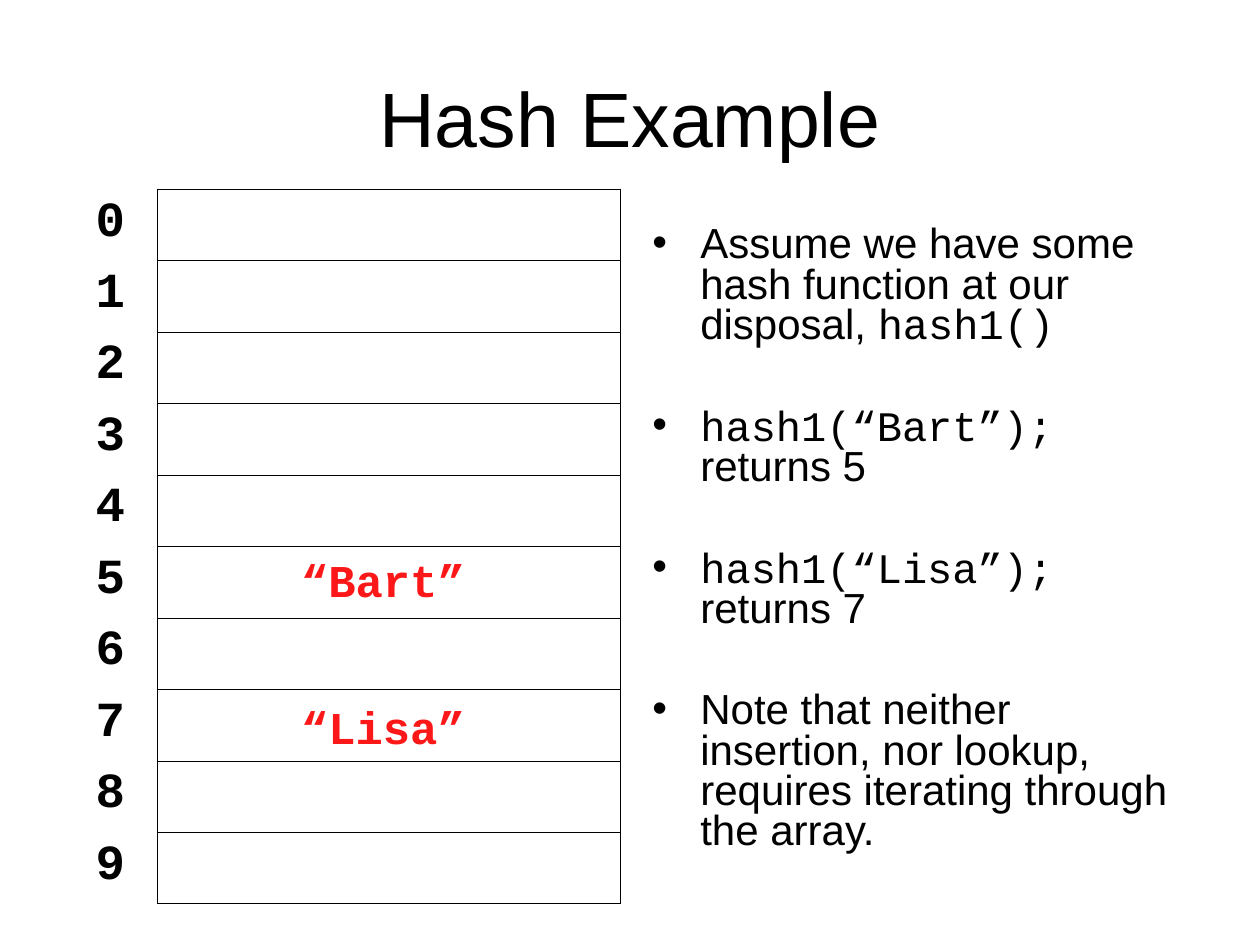
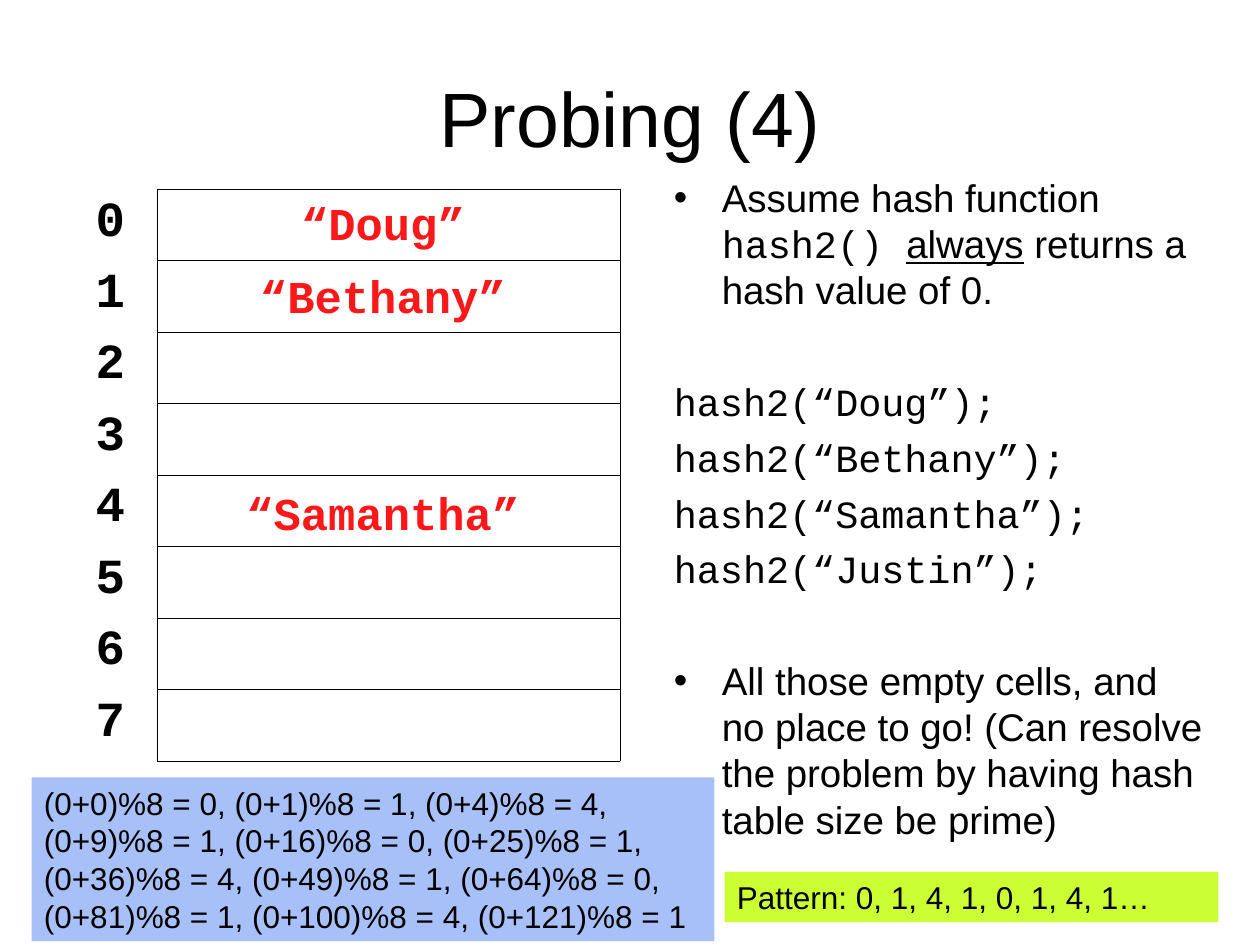
from lxml.etree import SubElement
from pptx import Presentation
from pptx.dml.color import RGBColor
from pptx.enum.shapes import MSO_SHAPE
from pptx.enum.text import MSO_ANCHOR as Anchor, PP_ALIGN as Align
from pptx.oxml.ns import qn
from pptx.util import Inches, Pt

BLACK = RGBColor(0x00, 0x00, 0x00)
RED = RGBColor(0xFC, 0x18, 0x18)
BLUE = RGBColor(0xA7, 0xC0, 0xF7)
LIME = RGBColor(0xCC, 0xFF, 0x33)
SANS, MONO = "Arial", "Courier New"

ROW_HEIGHT = 0.567
TABLE_LEFT, TABLE_TOP = 0.5, 1.5
INDEX_WIDTH, VALUE_WIDTH = 0.75, 3.67


def write(paragraph, text, size=18, font=SANS, color=BLACK, bold=False,
          underline=False, align=Align.LEFT):
    """Append a formatted run of text to a paragraph."""
    paragraph.alignment = align
    run = paragraph.add_run()
    run.text = text
    run.font.size = Pt(size)
    run.font.name = font
    run.font.color.rgb = color
    run.font.bold = bold
    run.font.underline = underline


def add_frame(slide, left, top, width, height, fill=None):
    """Add a wrapping text area, on a filled rectangle if a fill is given."""
    box = [Inches(length) for length in (left, top, width, height)]
    if fill is None:
        area = slide.shapes.add_textbox(*box)
    else:
        area = slide.shapes.add_shape(MSO_SHAPE.RECTANGLE, *box)
        area.shadow.inherit = False
        area.fill.solid()
        area.fill.fore_color.rgb = fill
        area.line.fill.background()
    area.text_frame.word_wrap = True
    area.text_frame.vertical_anchor = Anchor.TOP
    return area.text_frame


# A point is: (bulleted, space before in points, [(text, font, underline), ...])
hash_points = [
    (True, 0, [("Assume we have some hash function at our disposal, ", SANS, False),
               ("hash1()", MONO, False)]),
    (True, 35, [("hash1(“Bart”); ", MONO, False), ("returns 5", SANS, False)]),
    (True, 35, [("hash1(“Lisa”); ", MONO, False), ("returns 7", SANS, False)]),
    (True, 35, [("Note that neither insertion, nor lookup, requires iterating "
                 "through the array.", SANS, False)]),
]
probing_points = [
    (True, 0, [("Assume hash function ", SANS, False), ("hash2() ", MONO, False),
               ("always", SANS, True), (" returns a hash value of 0.", SANS, False)]),
    (False, 37.5, [("hash2(“Doug”);", MONO, False)]),
    (False, 5.5, [("hash2(“Bethany”);", MONO, False)]),
    (False, 5.5, [("hash2(“Samantha”);", MONO, False)]),
    (False, 5.5, [("hash2(“Justin”);", MONO, False)]),
    (True, 37.5, [("All those empty cells, and no place to go! (Can resolve the "
                   "problem by having hash table size be prime)", SANS, False)]),
]
probe_sums = (
    "(0+0)%8 = 0, (0+1)%8 = 1, (0+4)%8 = 4, (0+9)%8 = 1, (0+16)%8 = 0, "
    "(0+25)%8 = 1, (0+36)%8 = 4, (0+49)%8 = 1, (0+64)%8 = 0, (0+81)%8 = 1, "
    "(0+100)%8 = 4, (0+121)%8 = 1"
)

lessons = [
    dict(title="Hash Example", points=hash_points, points_at=(5.08, 1.75),
         size=24, spacing=0.8, slots=10,
         entries=[("“Bart”", 4.33), ("“Lisa”", 5.5)], callouts=[]),
    dict(title="Probing (4)", points=probing_points, points_at=(5.25, 1.33),
         size=22, spacing=1.0, slots=8,
         entries=[("“Doug”", 1.5), ("“Samantha”", 3.8), ("“Bethany”", 2.08)],
         callouts=[(probe_sums, (0.25, 6.17, 5.42, 1.3), BLUE),
                   ("Pattern: 0, 1, 4, 1, 0, 1, 4, 1…", (5.75, 6.92, 3.92, 0.4), LIME)]),
]

deck = Presentation()
deck.slide_width, deck.slide_height = Inches(10), Inches(7.5)

for lesson in lessons:
    slide = deck.slides.add_slide(deck.slide_layouts[5])

    title = slide.shapes.title
    title.left, title.top = Inches(0.5), Inches(0.3)
    title.width, title.height = Inches(9), Inches(1.25)
    title.text_frame.vertical_anchor = Anchor.MIDDLE
    write(title.text_frame.paragraphs[0], lesson["title"], size=44, align=Align.CENTER)

    # Explanation on the right
    explanation = add_frame(slide, *lesson["points_at"], 4.42, 5.5)
    for number, (bulleted, gap, pieces) in enumerate(lesson["points"]):
        point = explanation.add_paragraph() if number else explanation.paragraphs[0]
        point.space_before = Pt(gap)
        point.line_spacing = lesson["spacing"]
        for text, font, underline in pieces:
            write(point, text, size=lesson["size"], font=font, underline=underline)
        properties = point._p.get_or_add_pPr()
        properties.set("marL", str(Inches(0.38)))
        properties.set("indent", str(Inches(-0.38)))
        if bulleted:
            SubElement(properties, qn("a:buFont"), typeface=SANS)
            SubElement(properties, qn("a:buChar"), char="•")
        else:
            SubElement(properties, qn("a:buNone"))

    # Hash table: slot numbers without a frame, slots with one
    slots = lesson["slots"]
    hash_table = slide.shapes.add_table(
        slots, 2, Inches(TABLE_LEFT), Inches(TABLE_TOP),
        Inches(INDEX_WIDTH + VALUE_WIDTH), Inches(ROW_HEIGHT * slots)).table
    hash_table.first_row = hash_table.horz_banding = False
    hash_table.columns[0].width = Inches(INDEX_WIDTH)
    hash_table.columns[1].width = Inches(VALUE_WIDTH)
    for slot, row in enumerate(hash_table.rows):
        row.height = Inches(ROW_HEIGHT)
        index_cell, value_cell = row.cells
        write(index_cell.text_frame.paragraphs[0], str(slot), size=28, font=MONO,
              bold=True, align=Align.CENTER)
        for cell, framed_sides in ((index_cell, "R"), (value_cell, "LRTB")):
            cell_properties = cell._tc.get_or_add_tcPr()
            for side in "LRTB":
                border = SubElement(cell_properties, qn("a:ln" + side), w=str(Pt(0.45)))
                if side in framed_sides:
                    ink = SubElement(border, qn("a:solidFill"))
                    SubElement(ink, qn("a:srgbClr"), val=str(BLACK))
                else:
                    SubElement(border, qn("a:noFill"))
            cell.fill.background()

    for name, top in lesson["entries"]:
        entry = add_frame(slide, 1.5, top, 3.08, 0.54)
        write(entry.paragraphs[0], name, size=26, font=MONO, color=RED, bold=True,
              align=Align.CENTER)

    for text, box, fill in lesson["callouts"]:
        write(add_frame(slide, *box, fill=fill).paragraphs[0], text)

deck.save("out.pptx")
